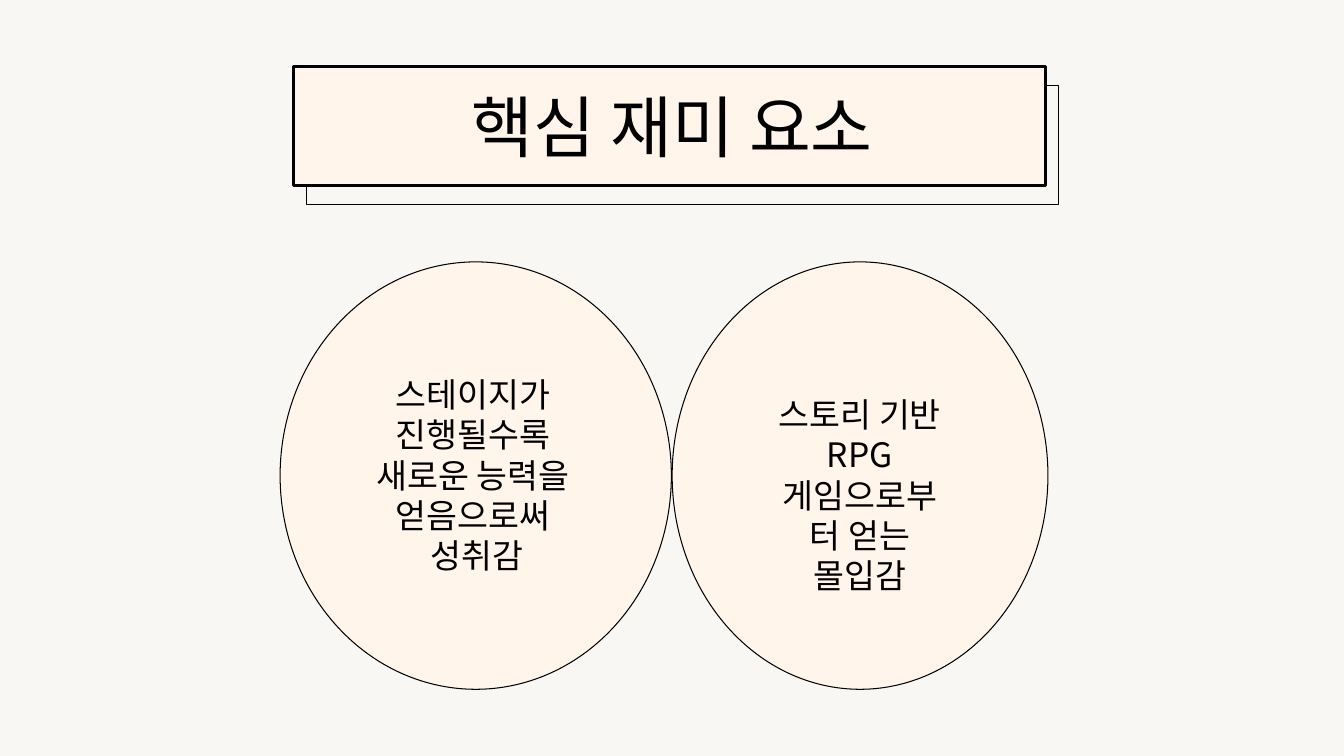
from dataclasses import dataclass

from pptx import Presentation
from pptx import util as u
from pptx.dml.color import RGBColor
from pptx.enum import shapes, text
from pptx.oxml import ns

FONT = "Noto Sans CJK KR"
INK, CREAM, PAPER = "000000", "FFF5EA", "F8F7F4"
RECTANGLE = shapes.MSO_SHAPE.RECTANGLE
OVAL = shapes.MSO_SHAPE.OVAL


@dataclass
class Box:
    left: float
    top: float
    width: float
    height: float

    def lengths(self) -> list:
        return [u.Cm(value) for value in (self.left, self.top, self.width, self.height)]


@dataclass
class Outline:
    kind: int
    box: Box
    fill: str = ""
    weight: float = 0.75


@dataclass
class Caption:
    box: Box
    lines: list[str]
    size: float


BANNER = [
    Outline(RECTANGLE, Box(7.72, 2.16, 18.95, 3)),
    Outline(RECTANGLE, Box(7.39, 1.68, 18.95, 3), CREAM, 2.25),
]
CIRCLES = [
    Outline(OVAL, Box(7.06, 6.6, 9.86, 10.77), CREAM),
    Outline(OVAL, Box(16.94, 6.6, 9.47, 10.77), CREAM),
]
CAPTIONS = [
    Caption(Box(8.36, 2.03, 17.17, 2.31), ["핵심 재미 요소"], 48),
    Caption(
        Box(8.89, 9.3, 6.25, 5.38),
        ["스테이지가 ", "진행될수록 ", "새로운 능력을 ", "얻음으로써 ", "성취감"],
        24,
    ),
    Caption(Box(19.13, 9.8, 5.08, 4.37), ["스토리 기반 RPG게임으로부터 얻는 몰입감"], 24),
]


def color(value: str) -> RGBColor:
    return RGBColor.from_string(value)


def apply(target, values: dict) -> None:
    for name, value in values.items():
        setattr(target, name, value)


def draw_outline(collection, outline: Outline) -> None:
    shape = collection.add_shape(outline.kind, *outline.box.lengths())
    shape.shadow.inherit = False
    if outline.fill:
        shape.fill.solid()
        shape.fill.fore_color.rgb = color(outline.fill)
    else:
        shape.fill.background()
    shape.line.color.rgb = color(INK)
    shape.line.width = u.Pt(outline.weight)


def draw_caption(slide, caption: Caption) -> None:
    frame = slide.shapes.add_textbox(*caption.box.lengths()).text_frame
    apply(frame, {"word_wrap": True, "auto_size": text.MSO_AUTO_SIZE.SHAPE_TO_FIT_TEXT})
    for index, line in enumerate(caption.lines):
        paragraph = frame.add_paragraph() if index else frame.paragraphs[0]
        apply(paragraph, {
            "alignment": text.PP_ALIGN.CENTER,
            "line_spacing": u.Pt(caption.size * 1.2),
        })
        run = paragraph.add_run()
        run.text = line
        apply(run.font, {"name": FONT, "size": u.Pt(caption.size)})
        run.font.color.rgb = color(INK)
        east_asian = run.font._element.makeelement(ns.qn("a:ea"), {"typeface": FONT})
        run.font._element.append(east_asian)


def main() -> None:
    presentation = Presentation()
    apply(presentation, {"slide_width": u.Cm(33.87), "slide_height": u.Cm(19.05)})
    slide = presentation.slides.add_slide(presentation.slide_layouts[6])
    slide.background.fill.solid()
    slide.background.fill.fore_color.rgb = color(PAPER)
    banner = slide.shapes.add_group_shape()
    for outline in BANNER:
        draw_outline(banner.shapes, outline)
    for outline in CIRCLES:
        draw_outline(slide.shapes, outline)
    for caption in CAPTIONS:
        draw_caption(slide, caption)
    presentation.save("out.pptx")


if __name__ == "__main__":
    main()
